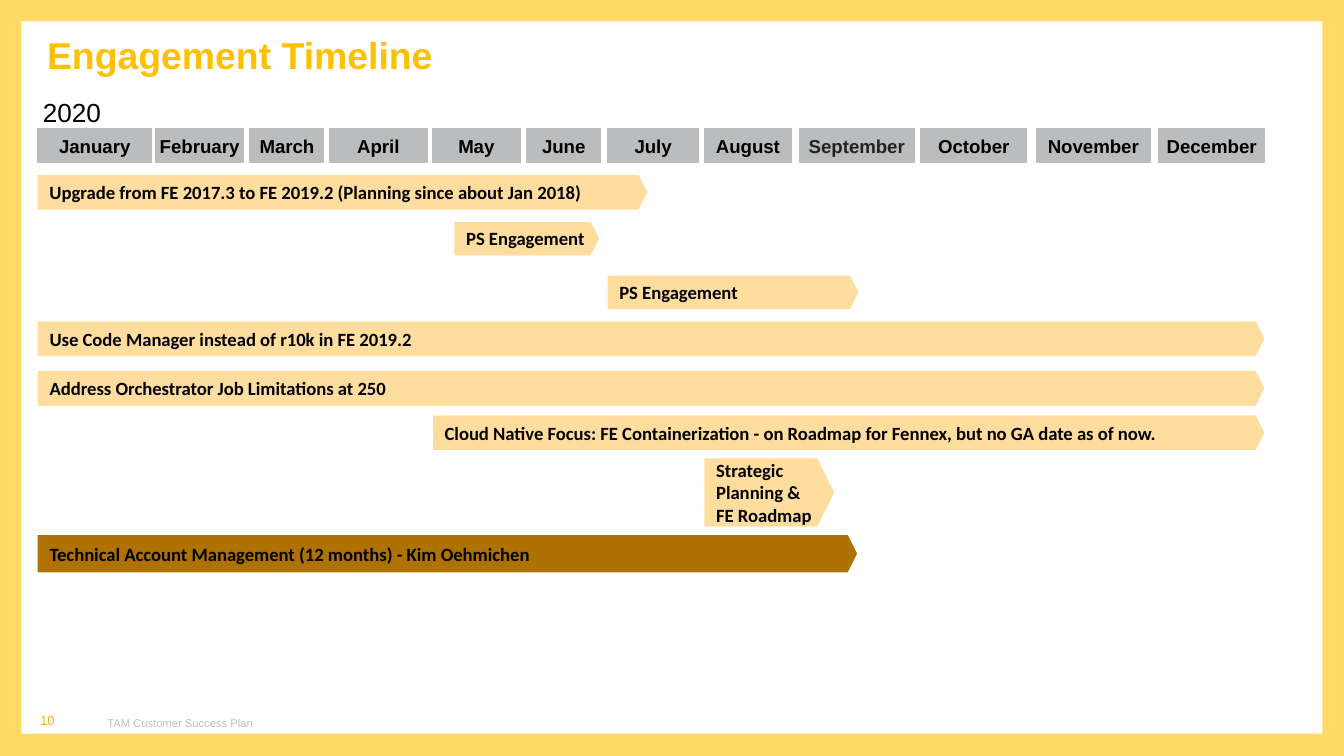
from dataclasses import dataclass

from pptx import Presentation
from pptx.dml.color import RGBColor
from pptx.enum.shapes import MSO_SHAPE
from pptx.enum.text import MSO_ANCHOR, PP_ALIGN
from pptx.shapes.autoshape import Shape
from pptx.text.text import TextFrame
from pptx.util import Inches, Pt


@dataclass(frozen=True)
class Theme:
    frame: str = "FFD966"
    white: str = "FFFFFF"
    black: str = "000000"
    dark: str = "222222"
    gray: str = "BABCBE"
    peach: str = "FFDD9F"
    brown: str = "AF7200"
    gold: str = "FFC000"
    amber: str = "FFAD1A"
    pale: str = "BFBFBF"
    head: str = "Arial"
    body: str = "Calibri"
    title: float = 20
    year: float = 14
    label: float = 10
    page: float = 7
    foot: float = 6


@dataclass(frozen=True)
class Box:
    left: float
    top: float
    width: float
    height: float


@dataclass(frozen=True)
class Style:
    size: float
    color: str
    font: str
    bold: bool = False
    align: PP_ALIGN = PP_ALIGN.LEFT
    anchor: MSO_ANCHOR = MSO_ANCHOR.MIDDLE
    inset: tuple[float, float, float, float] = (0, 0, 0, 0)


theme = Theme()


@dataclass(frozen=True)
class Month:
    name: str
    left: float
    width: float
    color: str = theme.black


@dataclass(frozen=True)
class Task:
    text: str
    box: Box
    fill: str = theme.peach


@dataclass(frozen=True)
class Note:
    text: str
    box: Box
    style: Style


deck = Presentation()
deck.slide_width = Inches(10)
deck.slide_height = deck.slide_width * 9 // 16
slide = deck.slides.add_slide(deck.slide_layouts[5])
slide.background.fill.solid()
slide.background.fill.fore_color.rgb = RGBColor.from_string(theme.frame)


def place(box: Box) -> tuple[int, int, int, int]:
    return Inches(box.left), Inches(box.top), Inches(box.width), Inches(box.height)


def write(frame: TextFrame, text: str, style: Style) -> None:
    frame.word_wrap = True
    frame.vertical_anchor = style.anchor
    (frame.margin_left, frame.margin_top,
     frame.margin_right, frame.margin_bottom) = map(Inches, style.inset)
    line = frame.paragraphs[0]
    line.alignment = style.align
    run = line.add_run()
    run.text = text
    run.font.name = style.font
    run.font.size = Pt(style.size)
    run.font.bold = style.bold
    run.font.color.rgb = RGBColor.from_string(style.color)


def draw(kind: MSO_SHAPE, box: Box, fill: str, edge: float = 0) -> Shape:
    shape = slide.shapes.add_shape(kind, *place(box))
    shape.shadow.inherit = False
    shape.fill.solid()
    shape.fill.fore_color.rgb = RGBColor.from_string(fill)
    if edge:
        shape.line.color.rgb = RGBColor.from_string(theme.white)
        shape.line.width = Pt(edge)
    else:
        shape.line.fill.background()
    return shape


def add_month(month: Month) -> None:
    cell = draw(MSO_SHAPE.RECTANGLE, Box(month.left, 0.95, month.width, 0.27),
                theme.gray, 0.75)
    write(cell.text_frame, month.name,
          Style(theme.label, month.color, theme.head, True, PP_ALIGN.CENTER))


def add_task(task: Task) -> None:
    bar = draw(MSO_SHAPE.RIGHT_ARROW, task.box, task.fill, 1.5)
    bar.adjustments[0], bar.adjustments[1] = 1, 0.25
    write(bar.text_frame, task.text,
          Style(theme.label, theme.black, theme.body, True, inset=(0.1, 0, 0, 0)))


def add_note(note: Note) -> None:
    area = slide.shapes.add_textbox(*place(note.box))
    write(area.text_frame, note.text, note.style)


months = [
    Month("January", 0.27, 0.87),
    Month("February", 1.15, 0.67),
    Month("March", 1.85, 0.57),
    Month("April", 2.44, 0.75),
    Month("May", 3.21, 0.67),
    Month("June", 3.91, 0.57),
    Month("July", 4.51, 0.7),
    Month("August", 5.23, 0.67),
    Month("September", 5.94, 0.87, theme.dark),
    Month("October", 6.84, 0.81),
    Month("November", 7.7, 0.87),
    Month("December", 8.61, 0.81),
]

tasks = [
    Task("Upgrade from FE 2017.3 to FE 2019.2 (Planning since about Jan 2018)",
         Box(0.27, 1.29, 4.56, 0.28)),
    Task("PS Engagement", Box(3.37, 1.64, 1.1, 0.27)),
    Task("PS Engagement", Box(4.51, 2.04, 1.89, 0.27)),
    Task("Use Code Manager instead of r10k in FE 2019.2",
         Box(0.27, 2.38, 9.15, 0.28)),
    Task("Address Orchestrator Job Limitations at 250",
         Box(0.27, 2.75, 9.15, 0.28)),
    Task("Cloud Native Focus: FE Containerization - on Roadmap for Fennex, "
         "but no GA date as of now.",
         Box(3.21, 3.08, 6.21, 0.28)),
    Task("Strategic Planning & FE Roadmap", Box(5.23, 3.4, 0.99, 0.53)),
    Task("Technical Account Management (12 months) - Kim Oehmichen",
         Box(0.27, 3.97, 6.12, 0.3), theme.brown),
]

notes = [
    Note("2020", Box(0.22, 0.62, 0.67, 0.31),
         Style(theme.year, theme.black, theme.head, anchor=MSO_ANCHOR.TOP,
               inset=(0.1, 0.1, 0.1, 0.1))),
    Note("10", Box(0, 5.19, 0.7, 0.44),
         Style(theme.page, theme.amber, theme.head, anchor=MSO_ANCHOR.BOTTOM,
               inset=(0.3, 0, 0.2, 0.3))),
    Note("TAM Customer Success Plan", Box(0.7, 5.19, 7.32, 0.44),
         Style(theme.foot, theme.pale, theme.head, anchor=MSO_ANCHOR.BOTTOM,
               inset=(0.1, 0, 0.1, 0.3))),
]

title = slide.shapes.title
panel = draw(MSO_SHAPE.RECTANGLE, Box(0.16, 0.16, 9.68, 5.3), theme.white)
title.element.addprevious(panel.element)

title.left, title.top, title.width, title.height = place(Box(0.15, 0.16, 9.85, 0.6))
write(title.text_frame, "Engagement Timeline",
      Style(theme.title, theme.gold, theme.head, True, inset=(0.2, 0, 0.2, 0.06)))
title.text_frame.paragraphs[0].line_spacing = 0.9

for month in months:
    add_month(month)
for task in tasks:
    add_task(task)
for note in notes:
    add_note(note)

deck.save("out.pptx")
